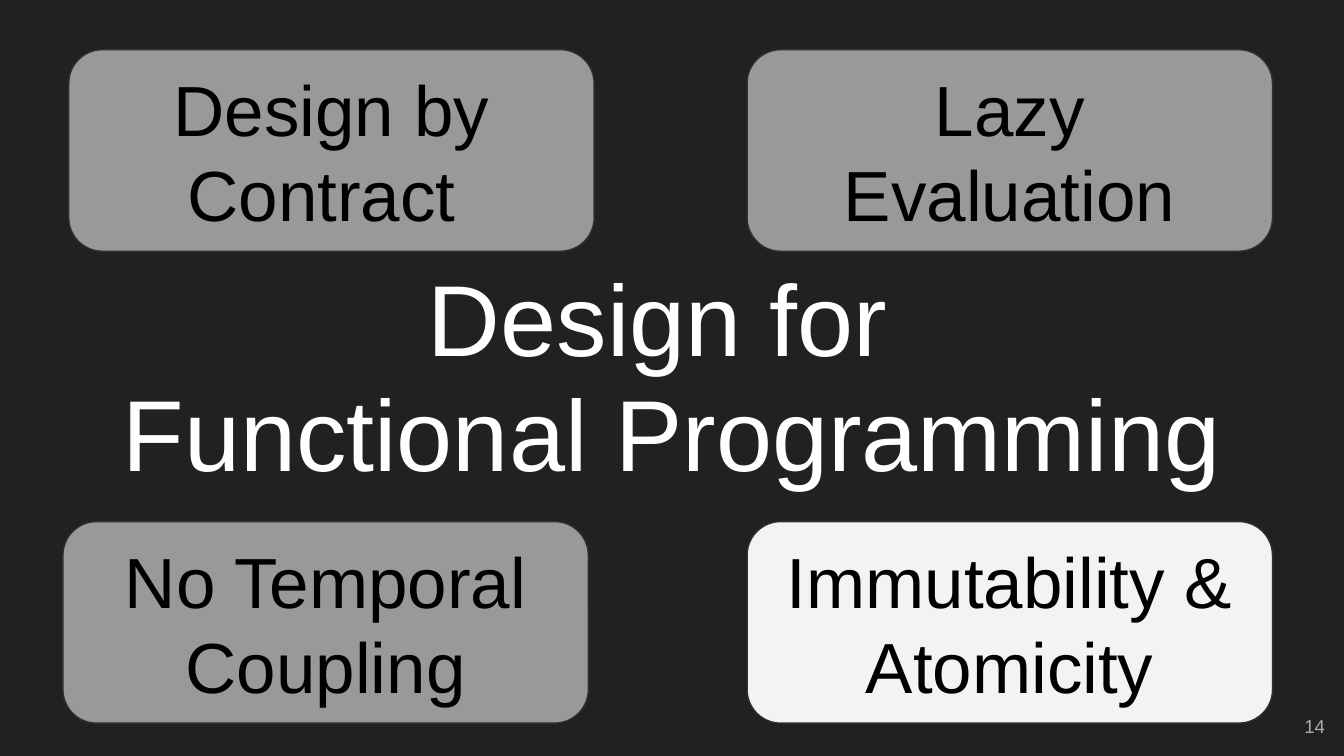
from pptx import Presentation, util as u
from pptx.dml.color import RGBColor
from pptx.enum import shapes, text

THEME = {
    "font": "Arial",
    "background": "212121",
    "title": {"size": 54, "color": "FFFFFF"},
    "card": {"size": 38, "color": "000000"},
    "number": {"size": 10, "color": "ADADAD"},
    "muted": "999999",
    "active": "F3F3F3",
    "outline": "303030",
}

SLIDE_SIZE = (25.4, 14.29)
CARD_SIZE = (9.93, 3.81)
RIGHT = 14.12
TOP, BOTTOM = 0.94, 9.86

CARDS = [
    (["Design by Contract "], 1.3, TOP, "muted"),
    (["Lazy Evaluation"], RIGHT, TOP, "muted"),
    (["No Temporal Coupling"], 1.19, BOTTOM, "muted"),
    (["Immutability &", "Atomicity"], RIGHT, BOTTOM, "active"),
]
TITLE = ["Design for ", "Functional Programming"]
TITLE_BOX = (1.19, 7.54, 23.01, 2.06)
NUMBER = ["14"]
NUMBER_BOX = (23.77, 13.18, 1.52, 1.09)


def color(name):
    return RGBColor.from_string(name)


def write(shape, lines, style, inset, anchor, alignment, spacing=None):
    frame = shape.text_frame
    margins = {f"margin_{side}": u.Cm(inset) for side in ("left", "top", "right", "bottom")}
    for name, value in {"word_wrap": True, "vertical_anchor": anchor, **margins}.items():
        setattr(frame, name, value)
    frame.text = "\n".join(lines)
    for paragraph in frame.paragraphs:
        for name, value in {"alignment": alignment, "line_spacing": spacing}.items():
            setattr(paragraph, name, value)
        for run in paragraph.runs:
            for name, value in {"name": THEME["font"], "size": u.Pt(THEME[style]["size"])}.items():
                setattr(run.font, name, value)
            run.font.color.rgb = color(THEME[style]["color"])


def add_text(slide, box, *content):
    write(slide.shapes.add_textbox(*map(u.Cm, box)), *content)


def add_card(slide, lines, left, top, state):
    shape = slide.shapes.add_shape(
        shapes.MSO_SHAPE.ROUNDED_RECTANGLE, *map(u.Cm, (left, top, *CARD_SIZE)))
    shape.shadow.inherit = False
    shape.fill.solid()
    shape.fill.fore_color.rgb = color(THEME[state])
    shape.line.color.rgb = color(THEME["outline"])
    shape.line.width = u.Pt(0.75)
    write(shape, lines, "card", 0.18, text.MSO_ANCHOR.MIDDLE, text.PP_ALIGN.CENTER)


def main():
    presentation = Presentation()
    presentation.slide_width, presentation.slide_height = map(u.Cm, SLIDE_SIZE)
    slide = presentation.slides.add_slide(presentation.slide_layouts[6])
    slide.background.fill.solid()
    slide.background.fill.fore_color.rgb = color(THEME["background"])

    add_text(slide, NUMBER_BOX, NUMBER, "number", 0.25,
             text.MSO_ANCHOR.MIDDLE, text.PP_ALIGN.RIGHT)
    add_text(slide, TITLE_BOX, TITLE, "title", 0.25,
             text.MSO_ANCHOR.BOTTOM, text.PP_ALIGN.CENTER, 0.95)
    for card in CARDS:
        add_card(slide, *card)
    presentation.save("out.pptx")


if __name__ == "__main__":
    main()
